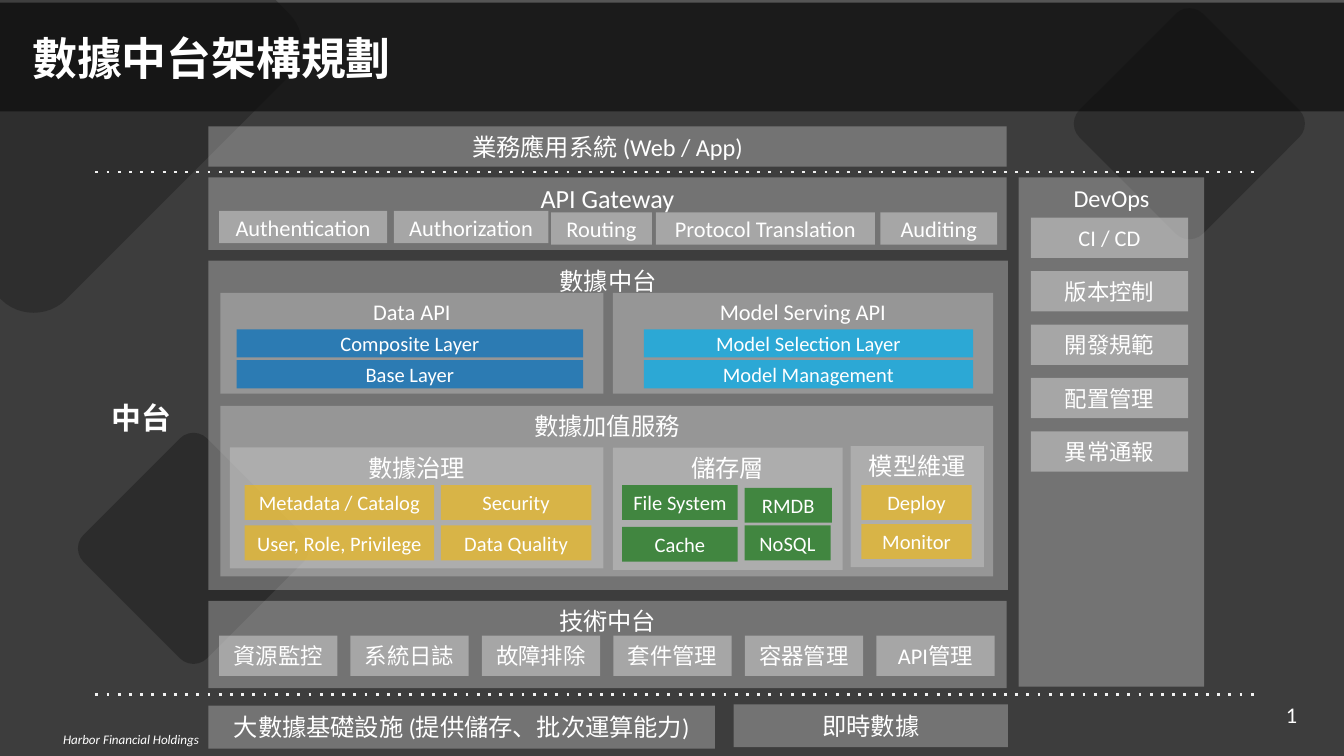
from lxml import etree
from pptx import Presentation
from pptx.dml.color import RGBColor
from pptx.enum.dml import MSO_LINE
from pptx.enum.shapes import MSO_CONNECTOR, MSO_SHAPE
from pptx.enum.text import MSO_ANCHOR, PP_ALIGN
from pptx.oxml.ns import qn
from pptx.util import Inches, Pt

RECT, ROUND = MSO_SHAPE.RECTANGLE, MSO_SHAPE.ROUNDED_RECTANGLE
STRAIGHT, DOTTED = MSO_CONNECTOR.STRAIGHT, MSO_LINE.ROUND_DOT
TOP, MIDDLE = MSO_ANCHOR.TOP, MSO_ANCHOR.MIDDLE
LEFT, CENTER = PP_ALIGN.LEFT, PP_ALIGN.CENTER
FONT = "Calibri"
COLORS = {"white": "FFFFFF", "dark": "0D0D0D", "gray": "D9D9D9", "dots": "F2F2F2",
          "blue": "0070C0", "cyan": "00B0F0", "gold": "F7BA01", "green": "027001"}


def paint(sp, color, alpha):
    """Give a shape a see-through fill, no outline and no shadow."""
    sp.shadow.inherit = False
    sp.line.fill.background()
    sp.fill.solid()
    sp.fill.fore_color.rgb = RGBColor.from_string(COLORS[color])
    clr = sp._element.spPr.find(".//" + qn("a:srgbClr"))
    etree.SubElement(clr, qn("a:alpha"), val=str(alpha * 1000))


def write(sp, text, size, anchor=MIDDLE, align=CENTER, bold=False, side=0.02, top=0):
    """Put one white line of text into a shape."""
    tf = sp.text_frame
    tf.word_wrap = True
    tf.vertical_anchor = anchor
    tf.margin_left = tf.margin_right = Inches(side)
    tf.margin_top, tf.margin_bottom = Inches(top), 0
    tf.text = text
    p = tf.paragraphs[0]
    p.alignment = align
    font = p.runs[0].font
    font.name, font.size, font.bold = FONT, Pt(size), bold
    font.color.rgb = RGBColor.from_string(COLORS["white"])
    return p


# 16:9 slide
prs = Presentation()
prs.slide_width = Inches(10)
prs.slide_height = prs.slide_width * 9 // 16
s = prs.slides.add_slide(prs.slide_layouts[5])

# Backdrop: dark sheet, cut-off corner diamond, title band, diamonds
sheet = s.shapes.add_shape(RECT, Inches(-0.02), Inches(0.02), Inches(10.02), Inches(5.62))
paint(sheet, "dark", 80)

corners = [[(2.15, 0.1), (2.28, 0.23), (2.28, 0.44), (2.15, 0.57)],
           [(0.49, 2.23), (0.36, 2.36), (0.14, 2.36), (0.01, 2.23)]]
outline = [(Inches(2.05), 0)]
for a, b, c, d in corners:
    for t in [i / 12 for i in range(13)]:
        u = 1 - t
        outline.append([Inches(u**3 * a[k] + 3 * u * u * t * b[k] + 3 * u * t * t * c[k] + t**3 * d[k])
                        for k in (0, 1)])
outline.append((0, Inches(2.22)))
fb = s.shapes.build_freeform(0, 0)
fb.add_line_segments(outline, close=True)
paint(fb.convert_to_shape(), "dark", 30)

band = s.shapes.add_shape(RECT, 0, 0, Inches(10), Inches(0.83))
paint(band, "dark", 70)
for x, y, alpha in [(0.79, 3.43, 34), (8.2, 0.27, 30)]:
    diamond = s.shapes.add_shape(ROUND, Inches(x), Inches(y), Inches(1.3), Inches(1.3))
    diamond.adjustments[0] = 0.11
    diamond.rotation = 315
    paint(diamond, "dark", alpha)

# Title, brought in front of the backdrop
title = s.shapes.title
title.left, title.top, title.width, title.height = [Inches(v) for v in (0.14, 0.21, 9.72, 0.43)]
write(title, "數據中台架構規劃", 24, align=LEFT, bold=True, side=0.1)
s.shapes._spTree.append(title._element)

# Panels: text, size, left, top, width, height, anchor
panels = [
    ("業務應用系統 (Web / App)", 13, 1.55, 0.94, 5.94, 0.3, MIDDLE),
    ("API Gateway", 14, 1.55, 1.32, 5.94, 0.54, TOP),
    ("數據中台", 13, 1.55, 1.94, 5.95, 2.45, TOP),
    ("Data API", 12, 1.64, 2.18, 2.85, 0.75, TOP),
    ("Model Serving API", 12, 4.56, 2.18, 2.83, 0.75, TOP),
    ("數據加值服務", 13, 1.64, 3.02, 5.75, 1.27, TOP),
    ("數據治理", 13, 1.71, 3.33, 2.78, 0.9, TOP),
    ("儲存層", 13, 4.56, 3.33, 1.71, 0.91, TOP),
    ("模型維運", 13, 6.33, 3.32, 0.99, 0.9, TOP),
    ("技術中台", 13, 1.55, 4.47, 5.94, 0.65, TOP),
    ("大數據基礎設施 (提供儲存、批次運算能力)", 13, 1.55, 5.25, 3.77, 0.32, MIDDLE),
    ("即時數據", 13, 5.46, 5.24, 2.04, 0.32, MIDDLE),
    ("DevOps", 13, 7.58, 1.32, 1.38, 3.79, TOP),
]
for text, size, x, y, w, h, anchor in panels:
    panel = s.shapes.add_shape(RECT, Inches(x), Inches(y), Inches(w), Inches(h))
    paint(panel, "gray", 35)
    write(panel, text, size, anchor, top=0.04 if anchor == TOP else 0)

# Tile styles: colour, opacity, text size, height
styles = {"gateway": ("gray", 50, 12, 0.24), "module": ("gray", 50, 12, 0.3),
          "data": ("blue", 70, 11, 0.21), "model": ("cyan", 70, 11, 0.21),
          "govern": ("gold", 59, 11, 0.26), "store": ("green", 63, 11, 0.26)}

# Tiles: style, text, left, top, width
tiles = [
    ("gateway", "Authentication", 1.63, 1.57, 1.25),
    ("gateway", "Authorization", 2.93, 1.57, 1.15),
    ("gateway", "Routing", 4.1, 1.58, 0.75),
    ("gateway", "Protocol Translation", 4.88, 1.58, 1.63),
    ("gateway", "Auditing", 6.55, 1.58, 0.87),
    ("data", "Composite Layer", 1.76, 2.45, 2.58),
    ("data", "Base Layer", 1.76, 2.68, 2.58),
    ("model", "Model Selection Layer", 4.79, 2.45, 2.45),
    ("model", "Model Management", 4.79, 2.68, 2.45),
    ("govern", "Metadata / Catalog", 1.82, 3.61, 1.41),
    ("govern", "Security", 3.28, 3.61, 1.12),
    ("govern", "User, Role, Privilege", 1.82, 3.91, 1.41),
    ("govern", "Data Quality", 3.28, 3.91, 1.12),
    ("store", "File System", 4.63, 3.61, 0.86),
    ("store", "RMDB", 5.54, 3.63, 0.65),
    ("store", "Cache", 4.63, 3.92, 0.86),
    ("store", "NoSQL", 5.54, 3.91, 0.64),
    ("govern", "Deploy", 6.41, 3.61, 0.82),
    ("govern", "Monitor", 6.41, 3.9, 0.82),
]
tech = ["資源監控", "系統日誌", "故障排除", "套件管理", "容器管理", "API管理"]
tech_step = (6.52 - 1.63) / 5
tiles += [("module", text, 1.63 + tech_step * i, 4.73, 0.88) for i, text in enumerate(tech)]
devops = ["CI / CD", "版本控制", "開發規範", "配置管理", "異常通報"]
devops_step = (3.21 - 1.62) / 4
tiles += [("module", text, 7.67, 1.62 + devops_step * i, 1.17) for i, text in enumerate(devops)]
for style, text, x, y, w in tiles:
    color, alpha, size, h = styles[style]
    tile = s.shapes.add_shape(RECT, Inches(x), Inches(y), Inches(w), Inches(h))
    paint(tile, color, alpha)
    write(tile, text, size)

# Dotted lines above and below the platform
for y in (1.28, 5.17):
    line = s.shapes.add_connector(STRAIGHT, Inches(0.71), Inches(y), Inches(9.35), Inches(y))
    line.line.color.rgb = RGBColor.from_string(COLORS["dots"])
    line.line.width = Pt(1.5)
    line.line.dash_style = DOTTED
    line._element.spPr.find(".//" + qn("a:prstDash")).set("val", "dot")
    etree.SubElement(line._element.spPr, qn("a:effectLst"))

# Side label, page number and footer
label = s.shapes.add_textbox(Inches(0.24), Inches(2.8), Inches(1.63), Inches(0.62))
write(label, "中台", 16, bold=True).space_before = Pt(4)
number = s.shapes.add_textbox(Inches(9.47), Inches(5.16), Inches(0.53), Inches(0.31))
write(number, "1", 12, align=LEFT, side=0.1)
footer = s.shapes.add_textbox(Inches(0.06), Inches(5.39), Inches(1.83), Inches(0.22))
p = write(footer, "Harbor Financial Holdings", 7, TOP, top=0.05)
p.runs[0].font.italic = True

prs.save("out.pptx")
